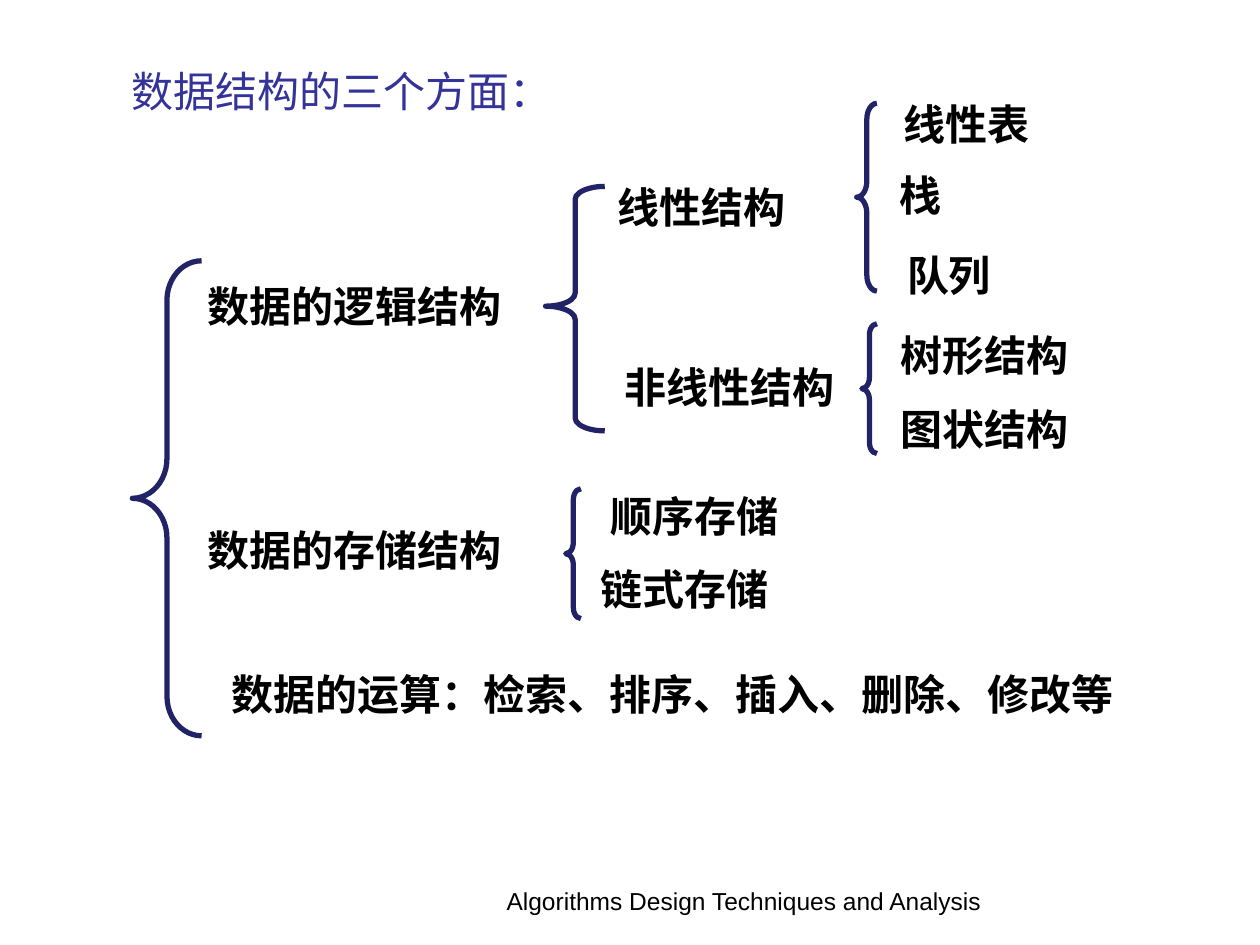
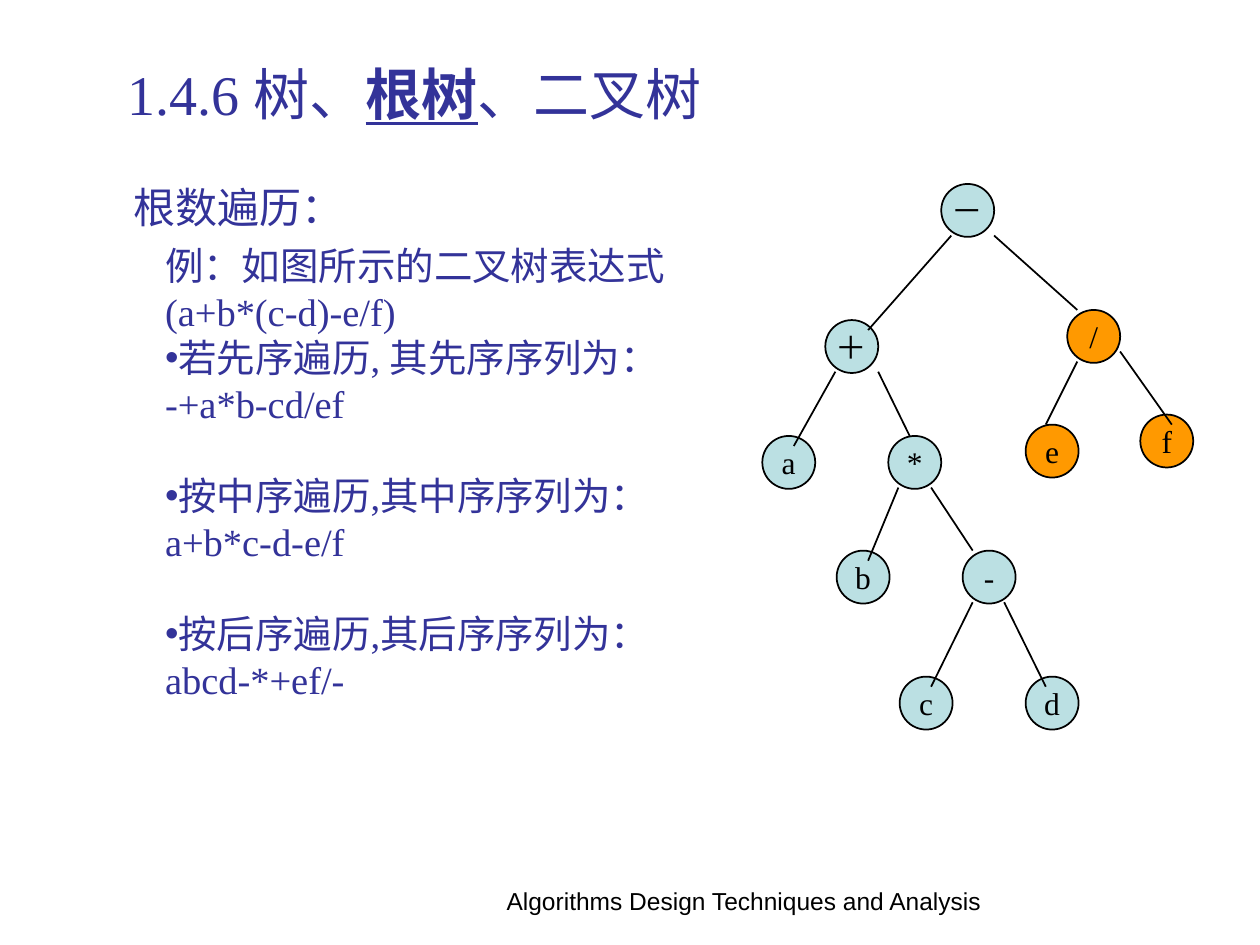
from lxml.etree import SubElement
from pptx import Presentation
from pptx.dml.color import RGBColor
from pptx.enum.shapes import MSO_CONNECTOR, MSO_SHAPE
from pptx.enum.text import MSO_ANCHOR, MSO_AUTO_SIZE, PP_ALIGN
from pptx.oxml.ns import qn
from pptx.util import Pt

PX = 9144  # one px is a hundredth of an inch
BLUE, NAVY, BLACK = "333399", "222267", "000000"
TEAL, ORANGE = "BBE0E3", "FF9900"
SERIF, SANS, HAN = "Times New Roman", "Arial", "Noto Sans CJK SC"
FOOTER = "Algorithms Design Techniques and Analysis"

BRACES = [  # left, top, width, height, curl, tip
    (0, 134, 55, 377, 0.57, 0.5),
    (344, 315, 12, 103, 0.73, 0.5),
    (328, 75, 47, 194, 0.22, 0.49),
    (575, 9, 16, 149, 0.79, 0.5),
    (579, 184, 12, 103, 0.73, 0.5),
]
LABELS = [
    (50, 145, "数据的逻辑结构"),
    (50, 338, "数据的存储结构"),
    (69, 453, "数据的运算：检索、排序、插入、删除、修改等"),
    (375, 66, "线性结构"),
    (381, 209, "非线性结构"),
    (370, 311, "顺序存储"),
    (362, 369, "链式存储"),
    (602, 0, "线性表"),
    (599, 57, "栈"),
    (605, 120, "队列"),
    (600, 184, "树形结构"),
    (600, 242, "图状结构"),
]

NODES = {
    "－": (142, 0), "＋": (50, 108), "*": (100, 200), "a": (0, 200),
    "/": (242, 100), "b": (59, 291), "-": (159, 291), "d": (209, 391),
    "c": (109, 391), "f": (300, 183), "e": (209, 191),
}
EDGES = [  # parent, child, start within parent, end within child
    ("－", "＋", (8, 41), (34, 8)),
    ("＋", "a", (8, 41), (25, 8)),
    ("＋", "*", (42, 41), (17, 0)),
    ("*", "b", (8, 41), (25, 8)),
    ("*", "-", (34, 41), (8, 0)),
    ("-", "d", (33, 41), (16, 8)),
    ("-", "c", (8, 41), (25, 8)),
    ("－", "/", (42, 41), (8, 0)),
    ("/", "e", (8, 41), (16, 0)),
    ("/", "f", (42, 33), (25, 8)),
]
ORDERS = [
    ("若先序遍历, 其先序序列为：", "-+a*b-cd/ef"),
    ("按中序遍历,其中序序列为：", "a+b*c-d-e/f"),
    ("按后序遍历,其后序序列为：", "abcd-*+ef/-"),
]


def emu(*sizes):
    return [size * PX for size in sizes]


def rgb(code):
    return RGBColor.from_string(code)


def style(para, size, face=SERIF, color=BLUE, bold=False, align=PP_ALIGN.LEFT):
    para.alignment = align
    para.space_before = Pt(0)
    font = para.font
    font.size, font.name, font.bold = Pt(size), face, bold
    font.color.rgb = rgb(color)
    props = para._p.pPr.find(qn("a:defRPr"))
    SubElement(props, qn("a:ea")).set("typeface", HAN)


def label(slide, box, text, size, wrap=True, **look):
    frame = slide.shapes.add_textbox(*emu(*box)).text_frame
    frame.word_wrap = wrap
    frame.text = text
    style(frame.paragraphs[0], size, **look)


def place(holder, box):
    """Move a placeholder and return its text frame, anchored at the top."""
    holder.left, holder.top, holder.width, holder.height = emu(*box)
    frame = holder.text_frame
    frame.auto_size = MSO_AUTO_SIZE.NONE
    frame.vertical_anchor = MSO_ANCHOR.TOP
    return frame


def title(slide, box, size, *parts):
    """Write the title; every second part is bold and underlined."""
    para = place(slide.shapes.title, box).paragraphs[0]
    style(para, size)
    for i, part in enumerate(parts):
        run = para.add_run()
        run.text = part
        if i % 2:
            run.font.bold = run.font.underline = True


def footer(slide):
    label(slide, (382, 698, 417, 47), FOOTER, 14,
          face=SANS, color=BLACK, align=PP_ALIGN.CENTER)


def outline(slide, left, top):
    for x, y, wide, high, curl, tip in BRACES:
        brace = slide.shapes.add_shape(
            MSO_SHAPE.LEFT_BRACE, *emu(left + x, top + y, wide, high))
        brace.adjustments[0], brace.adjustments[1] = curl, tip
        brace.shadow.inherit = False
        brace.fill.background()
        brace.line.color.rgb = rgb(NAVY)
        brace.line.width = Pt(3)
    for x, y, text in LABELS:
        wide = 20 + 34 * len(text)
        label(slide, (left + x, top + y, wide, 50), text, 24,
              wrap=False, face=HAN, color=BLACK, bold=True)


def node(slide, x, y, text):
    dot = slide.shapes.add_shape(MSO_SHAPE.OVAL, *emu(x, y, 42, 42))
    dot.shadow.inherit = False
    dot.fill.solid()
    dot.fill.fore_color.rgb = rgb(ORANGE if text in "/ef" else TEAL)
    dot.line.color.rgb = rgb(BLACK)
    dot.line.width = Pt(1)
    frame = dot.text_frame
    frame.word_wrap = False
    frame.vertical_anchor = MSO_ANCHOR.MIDDLE
    frame.text = text
    style(frame.paragraphs[0], 18, color=BLACK, align=PP_ALIGN.CENTER)


def tree(slide, left, top):
    for text, (x, y) in NODES.items():
        node(slide, left + x, top + y, text)
    for head, child, start, end in EDGES:
        ends = [base + shift + step
                for name, point in ((head, start), (child, end))
                for base, shift, step in zip((left, top), NODES[name], point)]
        edge = slide.shapes.add_connector(MSO_CONNECTOR.STRAIGHT, *emu(*ends))
        edge.line.color.rgb = rgb(BLACK)
        edge.line.width = Pt(1)
        SubElement(edge._element.spPr, qn("a:effectLst"))


def item(para, text, dot=False, gap=0):
    para.text = text
    props = para._p.get_or_add_pPr()
    props.set("marL", "0")
    props.set("indent", "0")
    if dot:
        SubElement(props, qn("a:buChar")).set("char", "•")
    else:
        SubElement(props, qn("a:buNone"))
    style(para, 22)
    para.space_before = Pt(gap)


def orders(slide, box):
    """List the three ways to walk the tree."""
    frame = place(slide.placeholders[1], box)
    item(frame.paragraphs[0], "例：如图所示的二叉树表达式")
    item(frame.add_paragraph(), "(a+b*(c-d)-e/f)")
    for i, (name, result) in enumerate(ORDERS):
        item(frame.add_paragraph(), name, dot=True, gap=26 if i else 0)
        item(frame.add_paragraph(), result)


def aspects(deck):
    slide = deck.slides.add_slide(deck.slide_layouts[5])
    title(slide, (94, 47, 514, 50), 24, "数据结构的三个方面：")
    outline(slide, 105, 73)
    footer(slide)


def walks(deck):
    slide = deck.slides.add_slide(deck.slide_layouts[1])
    title(slide, (91, 42, 861, 70), 32, "1.4.6 树、", "根树", "、二叉树")
    label(slide, (96, 139, 186, 50), "根数遍历：", 24, wrap=False)
    orders(slide, (121, 187, 467, 380))
    tree(slide, 605, 146)
    footer(slide)


def main():
    deck = Presentation()
    deck.slide_width, deck.slide_height = emu(1000, 750)
    aspects(deck)
    walks(deck)
    deck.save("out.pptx")


if __name__ == "__main__":
    main()
